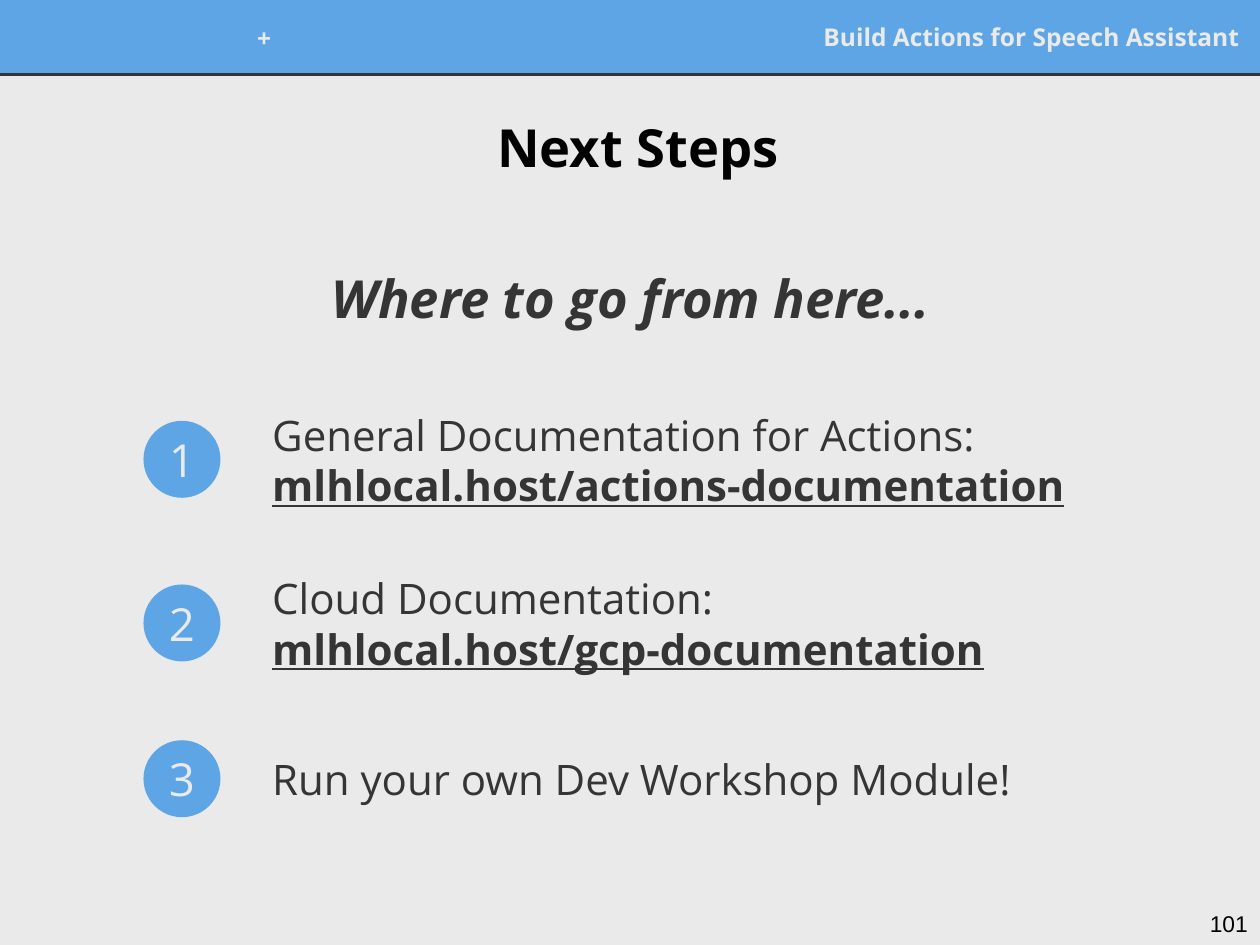
from pptx import Presentation
from pptx.dml.color import RGBColor
from pptx.enum.shapes import MSO_CONNECTOR, MSO_SHAPE
from pptx.enum.text import MSO_ANCHOR, PP_ALIGN
from pptx.oxml.ns import qn
from pptx.util import Pt
from lxml import etree

LEFT, CENTER, RIGHT = PP_ALIGN.LEFT, PP_ALIGN.CENTER, PP_ALIGN.RIGHT
TOP, MIDDLE = MSO_ANCHOR.TOP, MSO_ANCHOR.MIDDLE
RECT, OVAL = MSO_SHAPE.RECTANGLE, MSO_SHAPE.OVAL
STRAIGHT = MSO_CONNECTOR.STRAIGHT
TITLE_ONLY = 5
COLORS = {"back": "EAEAEA", "blue": "5EA5E5", "dark": "353535", "black": "000000"}

FORMATS = {
    "header": {"size": 14, "color": "back", "bold": True},
    "title": {"size": 30, "color": "black", "bold": True},
    "subtitle": {"size": 30, "color": "dark", "bold": True, "italic": True},
    "badge": {"size": 26, "color": "back"},
    "step": {"size": 24, "color": "dark"},
    "link": {"size": 24, "color": "dark", "bold": True, "underline": True},
    "number": {"size": 13, "color": "black", "name": "Arial"},
}

# centre, height, text, link
STEPS = [
    (262.5, 87, "General Documentation for Actions:", "mlhlocal.host/actions-documentation"),
    (356, 59, "Cloud Documentation:", "mlhlocal.host/gcp-documentation"),
    (445, 59, "Run your own Dev Workshop Module!", None),
]


def rgb(name):
    return RGBColor.from_string(COLORS[name])


def add_run(p, text, style):
    r = p.add_run()
    r.text = text
    for key, value in {"name": "Open Sans", **FORMATS[style]}.items():
        if key == "color":
            r.font.color.rgb = rgb(value)
        else:
            setattr(r.font, key, Pt(value) if key == "size" else value)


def write(sp, text, style, align=CENTER, anchor=MIDDLE):
    """Fill a shape with one formatted paragraph and return that paragraph."""
    tf = sp.text_frame
    tf.word_wrap = True
    tf.vertical_anchor = anchor
    for side in ("left", "right", "top", "bottom"):
        setattr(tf, f"margin_{side}", Pt(7.2))
    p = tf.paragraphs[0]
    p.alignment = align
    add_run(p, text, style)
    return p


def add_text(shapes, box, text, style, align=CENTER, anchor=MIDDLE):
    return write(shapes.add_textbox(*map(Pt, box)), text, style, align, anchor)


def add_filled(shapes, kind, box):
    sp = shapes.add_shape(kind, *map(Pt, box))
    sp.shadow.inherit = False
    sp.fill.solid()
    sp.fill.fore_color.rgb = rgb("blue")
    sp.line.fill.background()
    return sp


def add_header(shapes, left, top, width, height):
    bar = add_filled(shapes, RECT, (left, top, width, height))
    bar.line.color.rgb = rgb("blue")
    bar.line.width = Pt(0.75)
    bottom = top + height
    rule = shapes.add_connector(STRAIGHT, Pt(left), Pt(bottom), Pt(left + width), Pt(bottom))
    rule.line.color.rgb = rgb("dark")
    rule.line.width = Pt(1.5)
    etree.SubElement(rule._element.spPr, qn("a:effectLst"))
    add_text(shapes, (left + width - 317.5, top + 7.5, 313, 27),
             "Build Actions for Speech Assistant", "header", RIGHT)
    add_text(shapes, (left + 139, top + 8, 23, 27), "+", "header", RIGHT)


def add_headings(shapes, left, top, width):
    title = shapes.title
    title.left, title.top, title.width, title.height = map(Pt, (left + 4, top, width, 65))
    write(title, "Next Steps", "title")
    add_text(shapes, (left, top + 78.5, width, 81), "Where to go from here...", "subtitle")


def add_step(shapes, left, middle, height, number, text, link):
    """Group a numbered badge with its text, both centred on middle."""
    size = 44
    group = shapes.add_group_shape().shapes
    badge = add_filled(group, OVAL, (left, middle - size / 2, size, size))
    write(badge, str(number), "badge")
    p = add_text(group, (left + 66.5, middle - height / 2, 490, height), text, "step", LEFT)
    if link:
        p.add_line_break()
        add_run(p, link, "link")


def main():
    prs = Presentation()
    prs.slide_width, prs.slide_height = Pt(720), Pt(540)
    s = prs.slides.add_slide(prs.slide_layouts[TITLE_ONLY])
    s.background.fill.solid()
    s.background.fill.fore_color.rgb = rgb("back")
    add_header(s.shapes, 0, 0, 720, 42.5)
    add_headings(s.shapes, 13, 51, 695)
    for number, (middle, height, text, link) in enumerate(STEPS, 1):
        add_step(s.shapes, 82, middle, height, number, text, link)
    add_text(s.shapes, (677, 512.5, 43, 27), "101", "number", RIGHT, TOP)
    prs.save("out.pptx")


if __name__ == "__main__":
    main()
